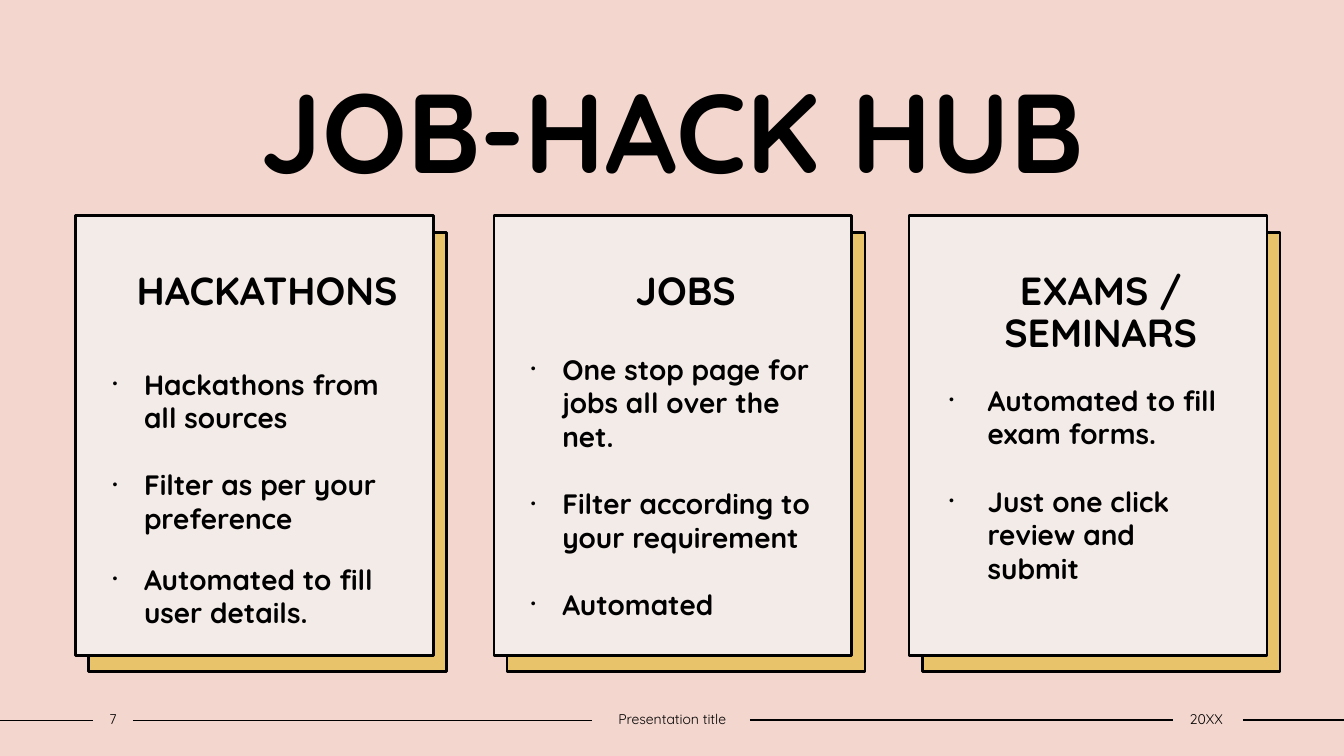
from lxml.etree import SubElement
from pptx import Presentation
from pptx.dml.color import RGBColor
from pptx.enum.shapes import MSO_CONNECTOR as Connector, MSO_SHAPE as Shape
from pptx.enum.text import MSO_ANCHOR as Anchor, MSO_AUTO_SIZE as AutoSize, PP_ALIGN as Align
from pptx.oxml.ns import qn
from pptx.util import Cm, Pt

FONT = "Quicksand"
INK, PINK, GOLD, CREAM = "000000", "F3D6CD", "E9C369", "F3EBE8"


def color(value):
    return RGBColor.from_string(value)


def write(para, text, size=20, bold=True, align=Align.LEFT, spacing=1.0, before=0):
    """Put one formatted run of text into a paragraph."""
    para.alignment = align
    para.line_spacing = spacing
    para.space_before = Pt(before)
    span = para.add_run()
    span.text = text
    span.font.name = FONT
    span.font.size = Pt(size)
    span.font.bold = bold
    span.font.color.rgb = color(INK)


def add_bullet(para, indent):
    """Give a paragraph a half-size bullet with a hanging indent."""
    props = para._p.get_or_add_pPr()
    props.set("marL", str(Cm(indent)))
    props.set("indent", str(-Cm(indent)))
    SubElement(props, qn("a:buSzPct"), val="50000")
    SubElement(props, qn("a:buFont"), typeface="Arial")
    SubElement(props, qn("a:buChar"), char="•")


class SlideBuilder:
    def __init__(self, page):
        self.page = page
        page.background.fill.solid()
        page.background.fill.fore_color.rgb = color(PINK)

    def frame(self, box, insets=(0.25, 0.13, 0.25, 0.13), anchor=Anchor.TOP):
        frame = box.text_frame
        frame.word_wrap = True
        frame.auto_size = AutoSize.NONE
        frame.vertical_anchor = anchor
        (frame.margin_left, frame.margin_top,
         frame.margin_right, frame.margin_bottom) = map(Cm, insets)
        return frame

    def place(self, box, left, top, width, height):
        """Move a placeholder and bring it to the front."""
        box.left, box.top, box.width, box.height = map(Cm, (left, top, width, height))
        box.element.getparent().append(box.element)

    def title(self, text, *area):
        box = self.page.shapes.title
        self.place(box, *area)
        write(self.frame(box).paragraphs[0], text, size=80, align=Align.CENTER)

    def panel(self, fill, *area):
        box = self.page.shapes.add_shape(Shape.RECTANGLE, *map(Cm, area))
        box.shadow.inherit = False
        box.fill.solid()
        box.fill.fore_color.rgb = color(fill)
        box.line.color.rgb = color(INK)
        box.line.width = Pt(2)
        return box

    def card(self, heading, left, top=5.44, width=9.02, height=11.07):
        self.panel(GOLD, left + 0.33, top + 0.41, width, height)
        box = self.panel(CREAM, left, top, width, height)
        frame = self.frame(box, insets=(0.89, 1.4, 0.25, 0.13))
        write(frame.paragraphs[0], heading, size=28, align=Align.CENTER,
              spacing=0.9, before=10)

    def bullets(self, index, items, left, top, indent):
        box = self.page.placeholders[index]
        self.place(box, left, top, 7.62, 7.75)
        frame = self.frame(box)
        for number, (text, gap) in enumerate(items):
            para = frame.add_paragraph() if number else frame.paragraphs[0]
            write(para, text, before=gap)
            add_bullet(para, indent)

    def rule(self, start, end, y):
        line = self.page.shapes.add_connector(
            Connector.STRAIGHT, Cm(start), Cm(y), Cm(end), Cm(y))
        line.line.color.rgb = color(INK)
        line.line.width = Pt(1)
        SubElement(line.element.spPr, qn("a:effectLst"))

    def footer(self, text, left, width):
        box = self.page.shapes.add_textbox(Cm(left), Cm(17.78), Cm(width), Cm(0.69))
        frame = self.frame(box, insets=(0, 0.13, 0, 0.13), anchor=Anchor.MIDDLE)
        write(frame.paragraphs[0], text, size=10, bold=False, align=Align.CENTER)


# Heading, card left, list left, list top, indent, (item, space before)
CARDS = [
    ("HACKATHONS", 1.9, 2.59, 9.12, 0.79, [
        ("Hackathons from all sources", 0),
        ("Filter as per your preference", 24),
        ("Automated to fill user details.", 19.2)]),
    ("JOBS", 12.45, 13.13, 8.74, 0.79, [
        ("One stop page for jobs all over the net.", 0),
        ("Filter according to your requirement", 24),
        ("Automated", 24)]),
    ("EXAMS / SEMINARS", 22.91, 23.67, 9.53, 0.97, [
        ("Automated to fill exam forms.", 0),
        ("Just one click review and submit", 24)]),
]
RULES = [(0, 2.34, 18.16), (3.35, 14.91, 18.16), (18.9, 29.57, 18.14), (31.32, 33.87, 18.14)]
FOOTERS = [("7", 2.34, 1.02), ("Presentation title", 14.91, 4.06), ("20XX", 29.51, 1.78)]


def main():
    deck = Presentation()
    deck.slide_width, deck.slide_height = Cm(33.87), Cm(19.05)
    page = deck.slides.add_slide(deck.slide_layouts.get_by_name("Comparison"))
    builder = SlideBuilder(page)

    # Title
    builder.title("JOB-HACK HUB", 3.18, 1.42, 27.53, 2.82)

    # Cards with their lists
    for index, (heading, card_left, left, top, indent, items) in enumerate(CARDS, 1):
        builder.card(heading, card_left)
        builder.bullets(index, items, left, top, indent)
    spare = page.placeholders[len(CARDS) + 1].element
    spare.getparent().remove(spare)

    # Footer
    for start, end, y in RULES:
        builder.rule(start, end, y)
    for text, left, width in FOOTERS:
        builder.footer(text, left, width)

    deck.save("out.pptx")


if __name__ == "__main__":
    main()
